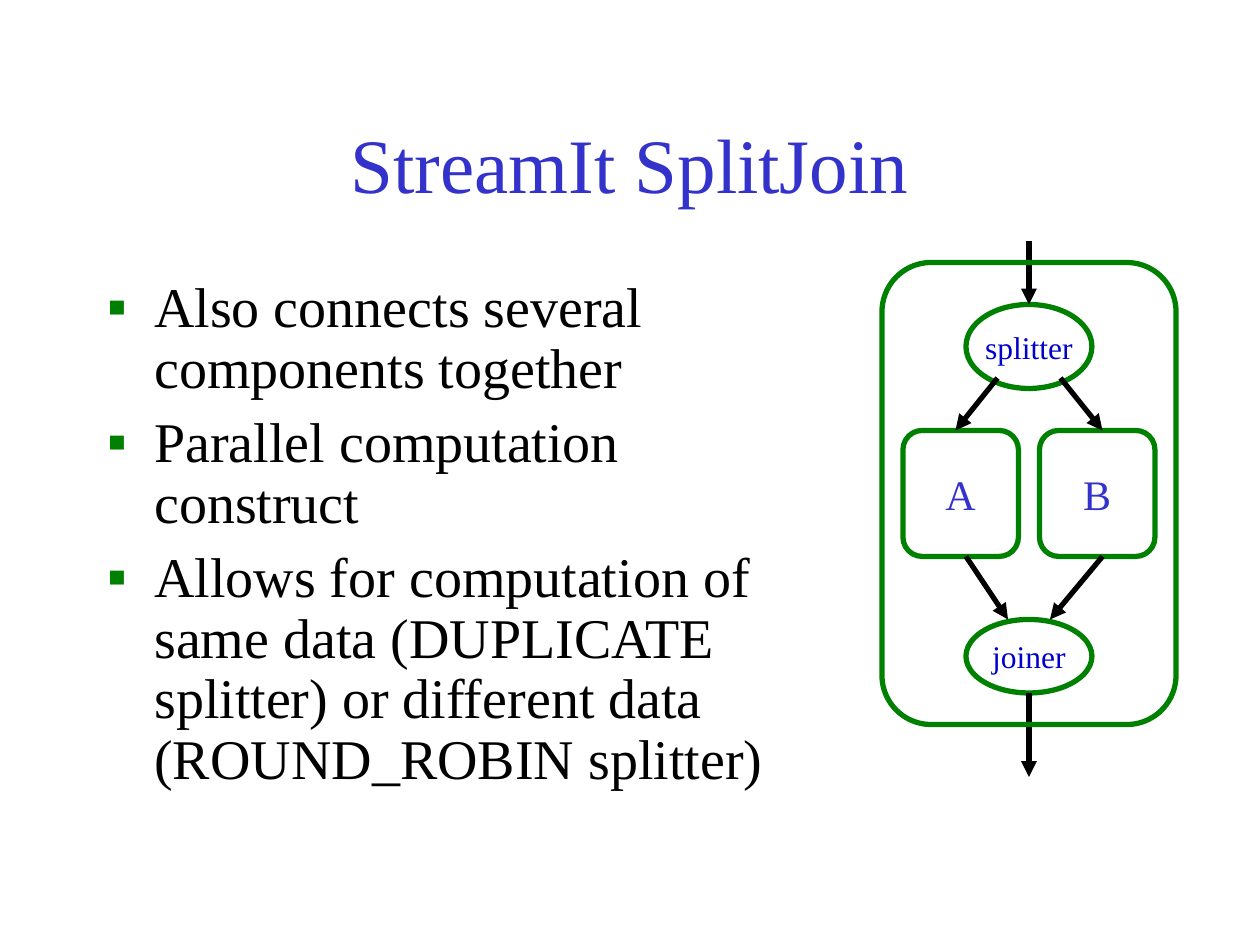
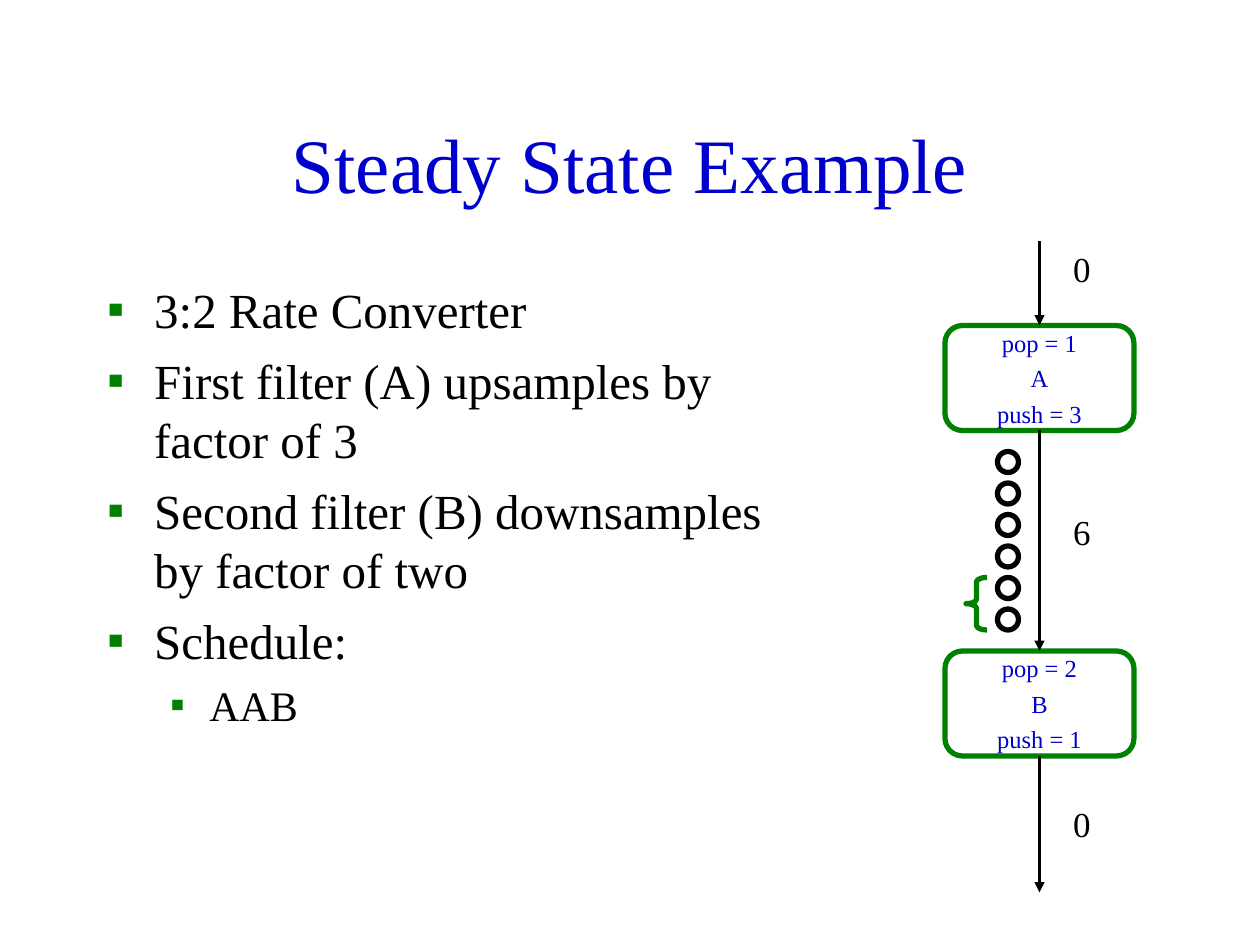
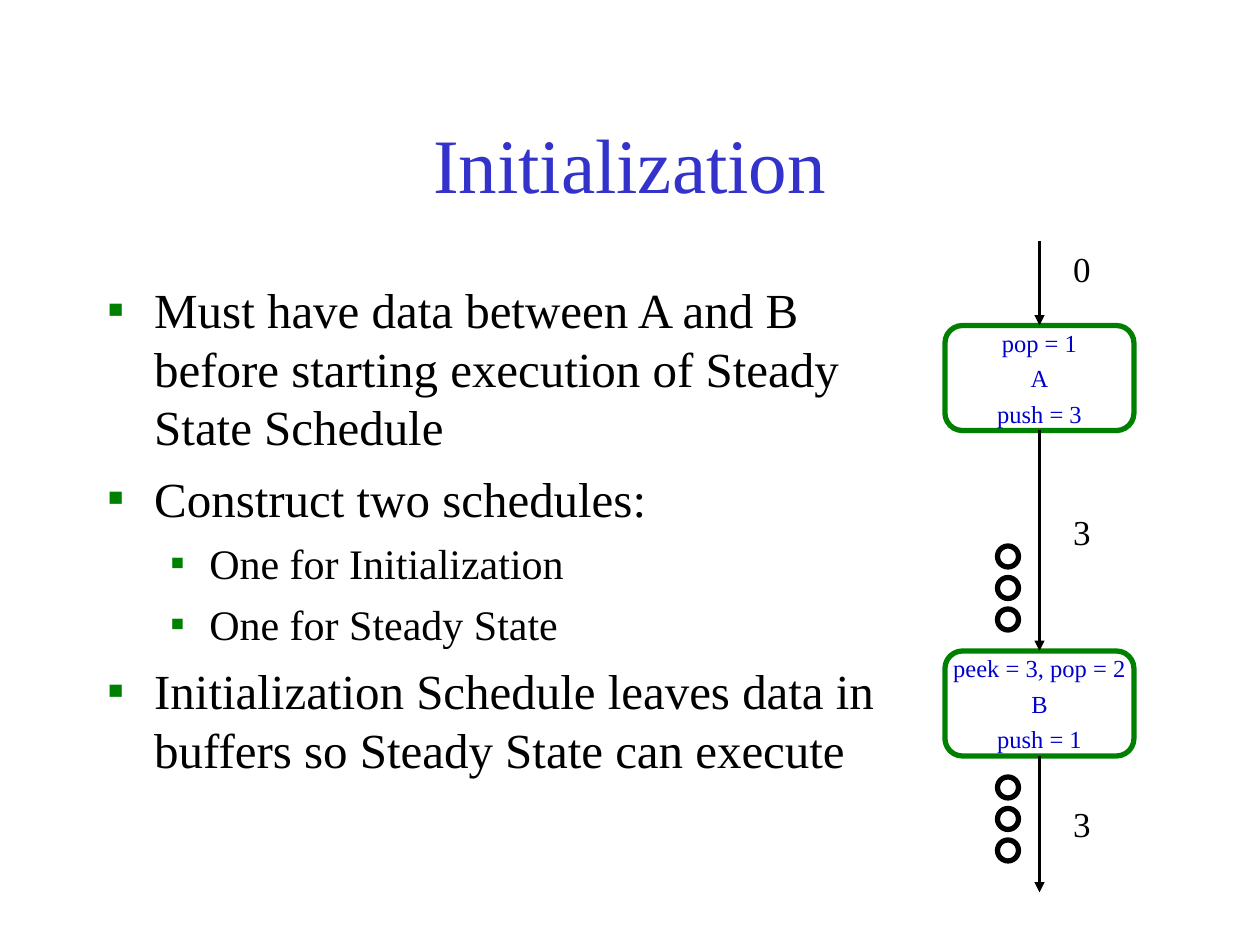
"""Build three slides on stream splitting, steady state and initialization."""
from lxml import etree
from pptx import Presentation
from pptx import util as u
from pptx.dml.color import RGBColor
from pptx.enum import shapes, text
from pptx.oxml import ns

COLORS = {"title": "3333CC", "deep": "0000CC", "frame": "008000", "ink": "000000"}
FONT = "Times New Roman"
GRID = 2.54 / 12
KIND = shapes.MSO_SHAPE
INDENTS = [(0.95, -0.95), (2.06, -0.79)]


def grid(*steps):
    return [u.Cm(step * GRID) for step in steps]


class Deck:
    def __init__(self):
        self.show = Presentation()
        self.show.slide_width, self.show.slide_height = u.Cm(25.4), u.Cm(19.05)
        self.slide = None

    def new_slide(self, heading, color="title"):
        self.slide = self.show.slides.add_slide(self.show.slide_layouts[1])
        title = self.slide.shapes.title
        self.place(title, 9, 8, 102, 15)
        title.text_frame.vertical_anchor = text.MSO_ANCHOR.MIDDLE
        self.centred(title.text_frame, [heading], 44, color, lead=0)

    def place(self, holder, *box):
        holder.left, holder.top, holder.width, holder.height = grid(*box)
        holder.text_frame.auto_size = text.MSO_AUTO_SIZE.NONE

    def paragraph(self, frame, index, words, size, color, lead):
        para = frame.add_paragraph() if index else frame.paragraphs[0]
        para.space_before = u.Pt(size * lead)
        run = para.add_run()
        run.text = words
        run.font.name, run.font.size = FONT, u.Pt(size)
        run.font.color.rgb = RGBColor.from_string(COLORS[color])
        return para

    def centred(self, frame, lines, size, color, lead=0.25):
        for index, words in enumerate(lines):
            para = self.paragraph(frame, index, words, size, color, lead)
            para.alignment = text.PP_ALIGN.CENTER

    def bullets(self, width, points, sizes=(28, 24), line_spacing=1.0):
        body = self.slide.placeholders[1]
        self.place(body, 9, 26, width, 54)
        for index, (level, words) in enumerate(points):
            para = self.paragraph(body.text_frame, index, words, sizes[level], "ink", 0.25)
            para.level, para.line_spacing = level, line_spacing
            props = para._p.get_or_add_pPr()
            for key, length in zip(("marL", "indent"), INDENTS[level]):
                props.set(key, str(u.Cm(length)))
            tint = etree.SubElement(props, ns.qn("a:buClr"))
            etree.SubElement(tint, ns.qn("a:srgbClr"), val=COLORS["frame"])
            etree.SubElement(props, ns.qn("a:buFont"), typeface=FONT)
            etree.SubElement(props, ns.qn("a:buChar"), char="▪")

    def outline(self, kind, box, color="frame", lines=(), size=14, ink="deep", adjust=None):
        shape = self.slide.shapes.add_shape(kind, *grid(*box))
        shape.shadow.inherit = False
        shape.fill.background()
        shape.line.color.rgb = RGBColor.from_string(COLORS[color])
        shape.line.width = u.Pt(3)
        if adjust:
            shape.adjustments[0] = adjust
        frame = shape.text_frame
        frame.word_wrap = False
        frame.vertical_anchor = text.MSO_ANCHOR.MIDDLE
        self.centred(frame, lines, size, ink)

    def arrow(self, *ends, weight=3):
        arrow = self.slide.shapes.add_connector(shapes.MSO_CONNECTOR.STRAIGHT, *grid(*ends))
        arrow.line.color.rgb = RGBColor.from_string(COLORS["ink"])
        arrow.line.width = u.Pt(weight)
        props = arrow.element.spPr
        etree.SubElement(props.find(ns.qn("a:ln")), ns.qn("a:tailEnd"), type="triangle")
        etree.SubElement(props, ns.qn("a:effectLst"))

    def label(self, words, left, top):
        frame = self.slide.shapes.add_textbox(*grid(left, top, 4.1, 5.3)).text_frame
        frame.word_wrap = False
        frame.auto_size = text.MSO_AUTO_SIZE.SHAPE_TO_FIT_TEXT
        self.centred(frame, [words], 20, "ink")

    def pipeline(self, filters, counts, item_tops):
        for top, lines in zip((31, 62), filters):
            self.outline(KIND.ROUNDED_RECTANGLE, (90, top, 18, 10), lines=lines, adjust=0.167)
        for start, end in ((23, 31), (41, 62), (72, 85)):
            self.arrow(99, start, 99, end, weight=1.5)
        for top, count in zip((23, 48, 75.8), counts):
            self.label(count, 101, top)
        for top in item_tops:
            self.outline(KIND.OVAL, (95, top, 2, 2), "ink")


def split_join(deck):
    deck.new_slide("StreamIt SplitJoin")
    deck.bullets(69, [
        (0, "Also connects several components together"),
        (0, "Parallel computation construct"),
        (0, "Allows for computation of same data (DUPLICATE splitter) "
            "or different data (ROUND_ROBIN splitter)"),
    ], sizes=(32,), line_spacing=0.9)
    for name, left in (("A", 86), ("B", 99)):
        deck.outline(KIND.FLOWCHART_ALTERNATE_PROCESS, (left, 41, 11, 12),
                     lines=[name], size=24, ink="title")
    for name, top, height in (("splitter", 29, 8), ("joiner", 59, 7)):
        deck.outline(KIND.OVAL, (92, top, 12, height), lines=[name], size=18)
    for ends in ((92, 53, 96, 59), (105, 53, 100, 59), (95, 36, 91, 41),
                 (101, 36, 105, 41), (98, 23, 98, 29), (98, 66, 98, 74)):
        deck.arrow(*ends)
    deck.outline(KIND.ROUNDED_RECTANGLE, (84, 25, 28, 44), adjust=0.167)


def steady_state(deck):
    deck.new_slide("Steady State Example", "deep")
    deck.bullets(70, [
        (0, "3:2 Rate Converter"),
        (0, "First filter (A) upsamples by factor of 3"),
        (0, "Second filter (B) downsamples by factor of two"),
        (0, "Schedule:"),
        (1, "AAB"),
    ])
    deck.pipeline([("pop = 1", "A", "push = 3"), ("pop = 2", "B", "push = 1")],
                  "060", range(43, 59, 3))
    deck.outline(KIND.LEFT_BRACE, (92, 55, 2, 5), adjust=0.21)


def initialization(deck):
    deck.new_slide("Initialization")
    deck.bullets(77, [
        (0, "Must have data between A and B before starting execution of Steady State Schedule"),
        (0, "Construct two schedules:"),
        (1, "One for Initialization"),
        (1, "One for Steady State"),
        (0, "Initialization Schedule leaves data in buffers so Steady State can execute"),
    ])
    deck.pipeline([("pop = 1", "A", "push = 3"), ("peek = 3, pop = 2", "B", "push = 1")],
                  "033", [*range(52, 59, 3), *range(74, 81, 3)])


def main():
    deck = Deck()
    for build in (split_join, steady_state, initialization):
        build(deck)
    deck.show.save("out.pptx")


if __name__ == "__main__":
    main()
